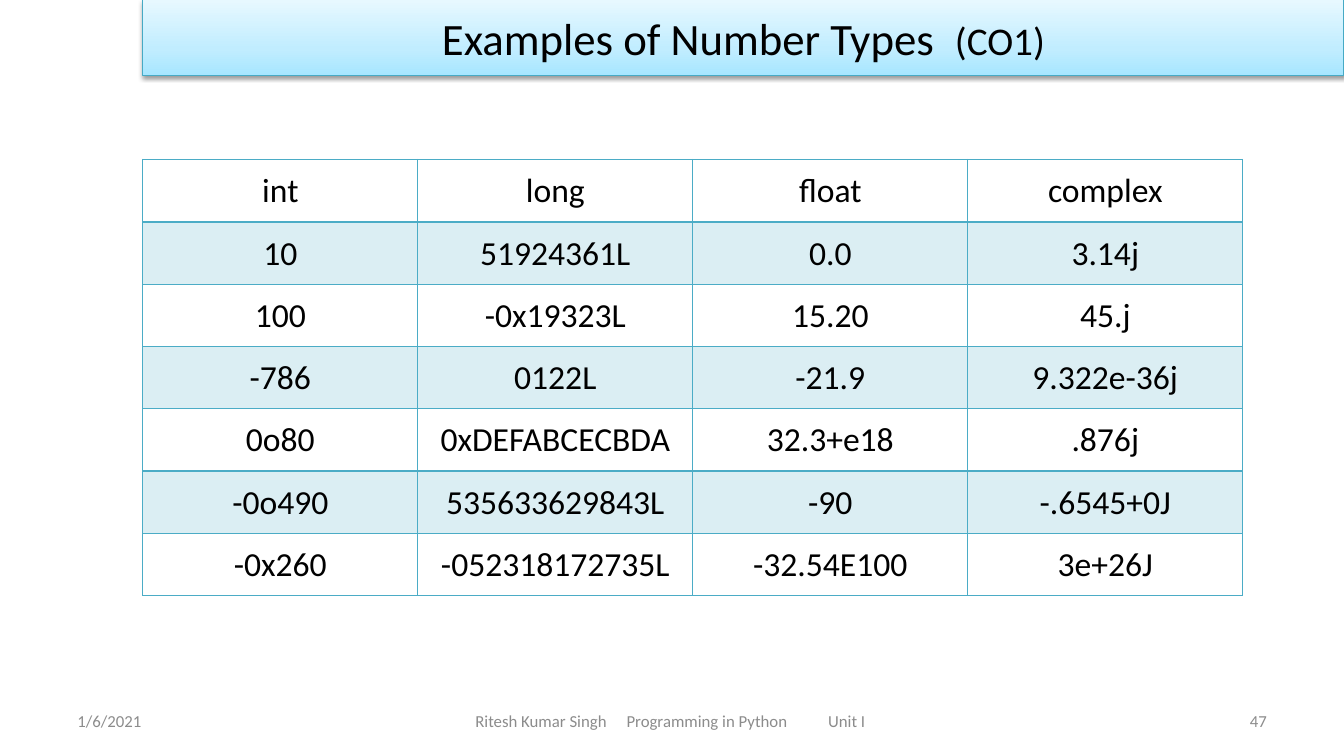
from copy import deepcopy

from lxml import etree
from pptx import Presentation
from pptx.dml.color import RGBColor
from pptx.enum import shapes, text
from pptx.oxml import ns
from pptx.util import Cm, Pt

FONT = "Calibri"
BLACK = RGBColor(0x00, 0x00, 0x00)
GREY = RGBColor(0x8C, 0x8C, 0x8C)
TEAL = RGBColor(0x4B, 0xAC, 0xC6)
BANNER_EDGE = RGBColor(0x46, 0xAA, 0xC5)
BANNER_STOPS = [
    (0, RGBColor(0xA7, 0xE6, 0xFF)),
    (0.35, RGBColor(0xC1, 0xED, 0xFF)),
    (1, RGBColor(0xE7, 0xF8, 0xFF)),
]
NUMBERS = [
    ("int", "long", "float", "complex"),
    ("10", "51924361L", "0.0", "3.14j"),
    ("100", "-0x19323L", "15.20", "45.j"),
    ("-786", "0122L", "-21.9", "9.322e-36j"),
    ("0o80", "0xDEFABCECBDA", "32.3+e18", ".876j"),
    ("-0o490", "535633629843L", "-90", "-.6545+0J"),
    ("-0x260", "-052318172735L", "-32.54E100", "3e+26J"),
]
LEFT = Cm(3.6)
COLUMN_WIDTH = Cm(6.93)
ROW_HEIGHT = Cm(1.57)
FOOTER_TOP = Cm(17.65)
FOOTER_HEIGHT = Cm(1.02)


def add_child(parent, tag, **attributes):
    child = etree.SubElement(parent, ns.qn(tag))
    for name, value in attributes.items():
        child.set(name, str(value))
    return child


def style_paragraph(para, size, color, align):
    para.alignment = align
    para.font.name = FONT
    para.font.size = Pt(size)
    para.font.color.rgb = color


def add_banner(page, width, title, suffix):
    banner = page.shapes.add_shape(
        shapes.MSO_SHAPE.RECTANGLE, LEFT, 0, width - LEFT, Cm(1.9))
    banner.line.color.rgb = BANNER_EDGE
    banner.line.width = Pt(0.75)

    banner.fill.gradient()
    banner.fill.gradient_angle = 90
    stop_list = banner.element.spPr.find(".//" + ns.qn("a:gsLst"))
    stop_list.append(deepcopy(stop_list[-1]))
    for stop, (position, color) in zip(banner.fill.gradient_stops, BANNER_STOPS):
        stop.position = position
        stop.color.rgb = color

    banner.shadow.inherit = False
    effects = banner.element.spPr.find(ns.qn("a:effectLst"))
    shadow = add_child(effects, "a:outerShdw", blurRad=Pt(3.1), dist=Pt(1.6),
                       dir=90 * 60000, rotWithShape=0)
    add_child(add_child(shadow, "a:srgbClr", val=BLACK), "a:alpha", val=38000)

    banner.text_frame.vertical_anchor = text.MSO_ANCHOR.MIDDLE
    para = banner.text_frame.paragraphs[0]
    style_paragraph(para, 32, BLACK, text.PP_ALIGN.CENTER)
    para.add_run().text = title
    span = para.add_run()
    span.text = suffix
    span.font.size = Pt(28)


def tint_cell(cell):
    cell.fill.solid()
    cell.fill.fore_color.rgb = TEAL
    color = cell.fill._xPr.find(".//" + ns.qn("a:srgbClr"))
    add_child(color, "a:alpha", val=20000)


def add_borders(cell, top, bottom):
    properties = cell._tc.get_or_add_tcPr()
    sides = [("a:lnL", 1), ("a:lnR", 1), ("a:lnT", top), ("a:lnB", bottom)]
    for index, (tag, width) in enumerate(sides):
        border = add_child(properties, tag, w=Pt(width))
        add_child(add_child(border, "a:solidFill"), "a:srgbClr", val=TEAL)
        properties.insert(index, border)


def add_number_table(page):
    rows, columns = len(NUMBERS), len(NUMBERS[0])
    table = page.shapes.add_table(
        rows, columns, LEFT, Cm(4.02),
        COLUMN_WIDTH * columns, ROW_HEIGHT * rows).table
    table.first_row = False
    table.horz_banding = False
    for row, values in enumerate(NUMBERS):
        for column, value in enumerate(values):
            cell = table.cell(row, column)
            cell.text = value
            cell.vertical_anchor = text.MSO_ANCHOR.MIDDLE
            cell.margin_left = cell.margin_right = cell.margin_top = Cm(0.03)
            cell.margin_bottom = 0
            style_paragraph(cell.text_frame.paragraphs[0], 24, BLACK,
                            text.PP_ALIGN.CENTER)
            if row % 2:
                tint_cell(cell)
            else:
                cell.fill.background()
            add_borders(cell, top=2 if row == 1 else 1,
                        bottom=2 if row == 0 else 1)


def add_footer(page, left, width, wording, align):
    box = page.shapes.add_textbox(left, FOOTER_TOP, width, FOOTER_HEIGHT)
    box.text_frame.word_wrap = True
    box.text_frame.vertical_anchor = text.MSO_ANCHOR.MIDDLE
    para = box.text_frame.paragraphs[0]
    para.text = wording
    style_paragraph(para, 12, GREY, align)
    return para


def set_tabs(para, indent, stops):
    properties = para._p.get_or_add_pPr()
    properties.set("marL", str(indent))
    properties.set("indent", "0")
    tabs = add_child(properties, "a:tabLst")
    for stop in stops:
        add_child(tabs, "a:tab", pos=stop, algn="l")
    properties.insert(0, tabs)


def main():
    deck = Presentation()
    deck.slide_width = Cm(33.87)
    deck.slide_height = Cm(19.05)
    page = deck.slides.add_slide(deck.slide_layouts[6])

    add_footer(page, Cm(1.7), Cm(7.9), "1/6/2021", text.PP_ALIGN.LEFT)
    add_footer(page, Cm(24.28), Cm(7.9), "47", text.PP_ALIGN.RIGHT)
    add_banner(page, deck.slide_width, "Examples of Number Types  ", "(CO1)")
    add_number_table(page)
    course = add_footer(page, Cm(11.23), Cm(13.97),
                        "Ritesh Kumar Singh\tProgramming in Python\tUnit I",
                        text.PP_ALIGN.LEFT)
    set_tabs(course, Cm(0.5), [Cm(5.63), Cm(11.95)])
    deck.save("out.pptx")


main()
